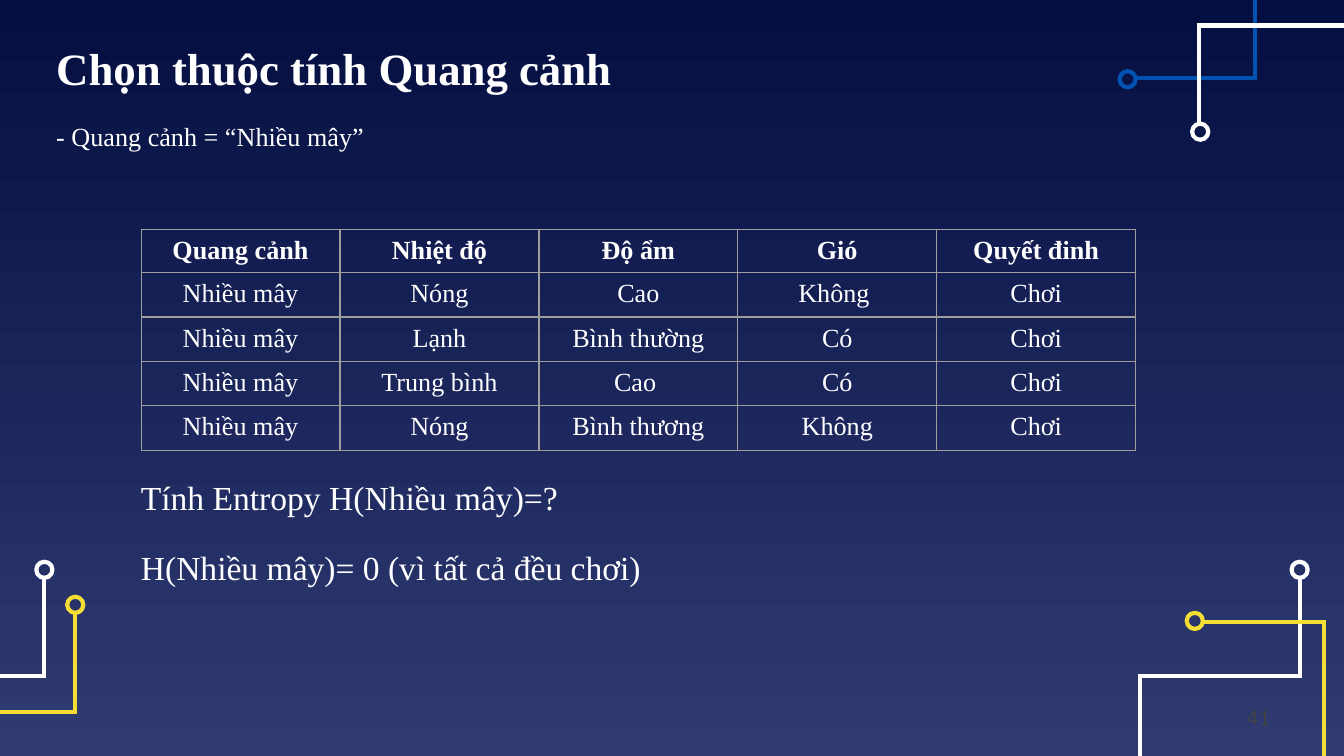
import pptx
import pptx.util
import pptx.dml.color
import pptx.enum.shapes
import pptx.enum.text
import pptx.oxml
import pptx.oxml.ns

Inches = pptx.util.Inches
RGBColor = pptx.dml.color.RGBColor
NAVY = RGBColor(0x04, 0x0E, 0x41)
INDIGO = RGBColor(0x30, 0x3B, 0x72)
WHITE = RGBColor(0xFF, 0xFF, 0xFF)
BLUE = RGBColor(0x01, 0x52, 0xB1)
YELLOW = RGBColor(0xF5, 0xDE, 0x34)
GRAY = RGBColor(0x43, 0x43, 0x43)
GRID = RGBColor(0x9E, 0x9E, 0x9E)
SERIF = "Times New Roman"
WIDTH = 10
HEIGHT = WIDTH * 9 / 16
RING = 0.12


def write(para, text, size, bold=False, color=WHITE, name=SERIF):
    span = para.add_run()
    span.text = text
    span.font.color.rgb = color
    formats = {"size": pptx.util.Pt(size), "bold": bold, "name": name}
    for key, value in formats.items():
        setattr(span.font, key, value)


def outline(shape, color):
    shape.shadow.inherit = False
    shape.fill.background()
    shape.line.color.rgb = color
    shape.line.width = pptx.util.Pt(2.25)


deck = pptx.Presentation()
deck.slide_width, deck.slide_height = Inches(WIDTH), Inches(HEIGHT)
page = deck.slides.add_slide(deck.slide_layouts[6])

backdrop = page.background.fill
backdrop.gradient()
backdrop.gradient_angle = 270
for stop, position, color in zip(backdrop.gradient_stops, (0, 1), (NAVY, INDIGO)):
    stop.position = position
    stop.color.rgb = color

circuits = [
    (WHITE, (9.67, 4.24), [(9.67, 4.3), (9.67, 5.03), (8.48, 5.03), (8.48, HEIGHT)]),
    (BLUE, (8.39, 0.59), [(8.45, 0.58), (9.34, 0.58), (9.34, 0)]),
    (WHITE, (8.93, 0.98), [(8.92, 0.92), (8.92, 0.19), (WIDTH, 0.19)]),
    (YELLOW, (8.89, 4.62), [(8.95, 4.63), (9.85, 4.63), (9.85, HEIGHT)]),
    (WHITE, (0.33, 4.24), [(0.33, 4.3), (0.33, 5.03), (0, 5.03)]),
    (YELLOW, (0.56, 4.5), [(0.56, 4.56), (0.56, 5.3), (0, 5.3)]),
]
for color, (x_center, y_center), route in circuits:
    points = [(Inches(x), Inches(y)) for x, y in route]
    builder = page.shapes.build_freeform(*points[0])
    builder.add_line_segments(points[1:], close=False)
    trace = builder.convert_to_shape()
    outline(trace, color)
    trace.line._get_or_add_ln().append(pptx.oxml.parse_xml(
        f'<a:miter {pptx.oxml.ns.nsdecls("a")} lim="800000"/>'))
    ring = page.shapes.add_shape(
        pptx.enum.shapes.MSO_SHAPE.OVAL,
        Inches(x_center - RING / 2), Inches(y_center - RING / 2),
        Inches(RING), Inches(RING))
    outline(ring, color)

rows = [
    ["Quang cảnh", "Nhiệt độ", "Độ ẩm", "Gió", "Quyết đinh"],
    ["Nhiều mây", "Nóng", "Cao", "Không ", "Chơi"],
    ["Nhiều mây", "Lạnh", "Bình thường", "Có", "Chơi"],
    ["Nhiều mây", "Trung bình", "Cao ", "Có", "Chơi"],
    ["Nhiều mây", "Nóng", "Bình thương", "Không", "Chơi"],
]
table = page.shapes.add_table(
    len(rows), len(rows[0]), Inches(1.05), Inches(1.71), Inches(7.4), Inches(1.64)).table
for column in table.columns:
    column.width = Inches(1.48)
for index, row in enumerate(rows):
    table.rows[index].height = Inches(0.33 if index else 0.32)
    for number, text in enumerate(row):
        cell = table.cell(index, number)
        para = cell.text_frame.paragraphs[0]
        para.alignment = pptx.enum.text.PP_ALIGN.CENTER
        write(para, text, 14, bold=index == 0)
        properties = cell._tc.get_or_add_tcPr()
        for side in "LRTB":
            properties.append(pptx.oxml.parse_xml(
                f'<a:ln{side} {pptx.oxml.ns.nsdecls("a")} w="9525"><a:solidFill>'
                f'<a:srgbClr val="{GRID}"/></a:solidFill></a:ln{side}>'))
        cell.fill.background()

texts = [
    ("Chọn thuộc tính Quang cảnh", (0.32, 0.36, 5.57, 0.29), 24, True, WHITE, SERIF),
    ("- Quang cảnh = “Nhiều mây”", (0.32, 0.84, 2.51, 0.34), 14, False, WHITE, SERIF),
    ("Tính Entropy H(Nhiều mây)=?", (0.95, 3.5, 3.34, 0.4), 18, False, WHITE, SERIF),
    ("H(Nhiều mây)= 0 (vì tất cả đều chơi)", (0.95, 4.02, 3.96, 0.4), 18, False, WHITE, SERIF),
    ("41", (9.18, 5.18, 0.4, 0.3), 12, False, GRAY, None),
]
for text, place, size, bold, color, name in texts:
    box = page.shapes.add_textbox(*map(Inches, place))
    formats = {
        "word_wrap": bold,
        "vertical_anchor": pptx.enum.text.MSO_ANCHOR.MIDDLE,
    }
    for key, value in formats.items():
        setattr(box.text_frame, key, value)
    write(box.text_frame.paragraphs[0], text, size, bold, color, name)

deck.save("out.pptx")
